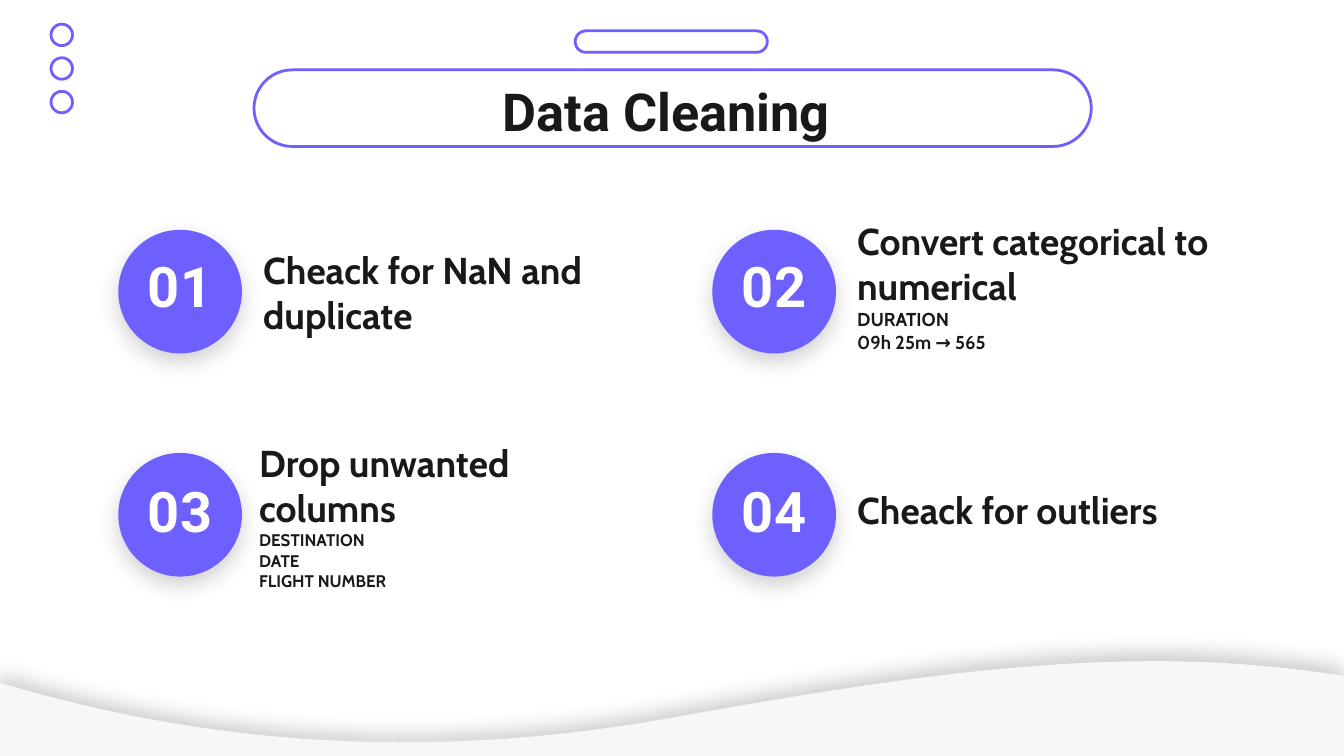
from copy import deepcopy

from lxml import etree
from pptx import Presentation
from pptx.dml.color import RGBColor
from pptx.enum import shapes, text
from pptx.oxml.ns import qn
from pptx.util import Inches, Pt

PURPLE, DARK, WHITE, GREY = "6E5FFF", "191919", "FFFFFF", "F7F7F7"


def paint(sp, fill=None, line=None, shadow=None, angle=90):
    sp.shadow.inherit = False
    if fill:
        sp.fill.solid()
        sp.fill.fore_color.rgb = RGBColor.from_string(fill)
    else:
        sp.fill.background()
    if line:
        sp.line.color.rgb = RGBColor.from_string(line)
        sp.line.width = Pt(1.5)
    else:
        sp.line.fill.background()
    if shadow:
        effects = sp._element.spPr.find(qn("a:effectLst"))
        outer = etree.SubElement(effects, qn("a:outerShdw"), blurRad=str(Pt(11.2)),
                                 dist=str(Pt(4.5)), dir=str(angle * 60000),
                                 algn="bl", rotWithShape="0")
        color = etree.SubElement(outer, qn("a:srgbClr"), val=shadow)
        etree.SubElement(color, qn("a:alpha"), val="20000")


def write(sp, box, lines, sizes, font, color, align, anchor):
    sp.left, sp.top, sp.width, sp.height = [Inches(v) for v in box]
    tf = sp.text_frame
    p = tf.paragraphs[0]
    p.text = "\v".join(lines)
    p.alignment = align
    tf.word_wrap = True
    tf.auto_size = text.MSO_AUTO_SIZE.NONE
    tf.vertical_anchor = anchor
    tf.margin_left = tf.margin_right = tf.margin_top = tf.margin_bottom = Inches(0.1)
    for r, size in zip(p.runs, sizes):
        r.font.name, r.font.size, r.font.bold = font, Pt(size), True
        r.font.color.rgb = RGBColor.from_string(color)
    for br, r in zip(p._p.findall(qn("a:br")), p.runs):
        br.append(deepcopy(r._r.rPr))


prs = Presentation()
prs.slide_width = Inches(10)
prs.slide_height = Inches(10) * 9 // 16
s = prs.slides.add_slide(prs.slide_layouts[5])
s.background.fill.solid()
s.background.fill.fore_color.rgb = RGBColor.from_string(WHITE)
LEFT, CENTER = text.PP_ALIGN.LEFT, text.PP_ALIGN.CENTER
TOP, MIDDLE = text.MSO_ANCHOR.TOP, text.MSO_ANCHOR.MIDDLE

curves = [
    [(0, 5.08), (1.1, 5.41), (2.8, 5.74), (5, 5.34)],
    [(5, 5.34), (6.4, 5.09), (7.5, 4.92), (8.6, 4.92)],
    [(8.6, 4.92), (9.1, 4.92), (9.55, 4.96), (10, 5.03)],
]
wave = []
for curve in curves:
    for step in range(1, 31):
        t = step / 30
        weights = [(1 - t) ** 3, 3 * t * (1 - t) ** 2, 3 * t ** 2 * (1 - t), t ** 3]
        wave.append([Inches(sum(w * pt[axis] for w, pt in zip(weights, curve)))
                     for axis in (0, 1)])
wave += [(Inches(10), Inches(5.66)), (Inches(-0.11), Inches(5.66))]
fb = s.shapes.build_freeform(Inches(-0.01), Inches(5.08))
fb.add_line_segments(wave, close=True)
paint(fb.convert_to_shape(), fill=GREY, shadow="000000", angle=261)

for i in range(3):
    dot = s.shapes.add_shape(shapes.MSO_SHAPE.OVAL, Inches(0.38), Inches(0.18 + 0.25 * i),
                             Inches(0.16), Inches(0.16))
    paint(dot, line=PURPLE)

for box in [(4.28, 0.23, 1.43, 0.16), (1.89, 0.52, 6.23, 0.57)]:
    pill = s.shapes.add_shape(shapes.MSO_SHAPE.ROUNDED_RECTANGLE, *[Inches(v) for v in box])
    pill.adjustments[0] = 0.5
    paint(pill, line=PURPLE)

write(s.shapes.title, (0.79, 0.49, 8.43, 0.63), ["Data Cleaning "], [28],
      "Roboto", DARK, CENTER, TOP)

steps = [
    ((1.86, 1.83, 2.87, 0.68), 20, ["Cheack for NaN and duplicate"]),
    ((6.28, 1.54, 2.87, 1.17), 10,
     ["Convert categorical to numerical ", "DURATION ", "09h 25m → 565"]),
    ((1.83, 3.19, 2.87, 1.29), 9,
     ["Drop unwanted columns ", "DESTINATION", "DATE", "FLIGHT NUMBER"]),
    ((6.28, 3.59, 2.87, 0.4), 20, ["Cheack for outliers"]),
]
for i, (box, detail_size, lines) in enumerate(steps):
    row, col = divmod(i, 2)
    x, y = 0.88 + 4.42 * col, 1.71 + 1.66 * row
    circle = s.shapes.add_shape(shapes.MSO_SHAPE.OVAL, Inches(x), Inches(y),
                                Inches(0.92), Inches(0.92))
    paint(circle, fill=PURPLE, shadow=DARK)
    number = s.shapes.add_textbox(0, 0, 0, 0)
    write(number, (x + 0.06, 1.88 + 1.67 * row, 0.8, 0.49), [f"{i + 1:02}"], [30],
          "Roboto", WHITE, CENTER, MIDDLE)
    label = s.shapes.add_textbox(0, 0, 0, 0)
    write(label, box, lines, [20] + [detail_size] * (len(lines) - 1),
          "Cabin", DARK, LEFT, MIDDLE)

prs.save("out.pptx")
